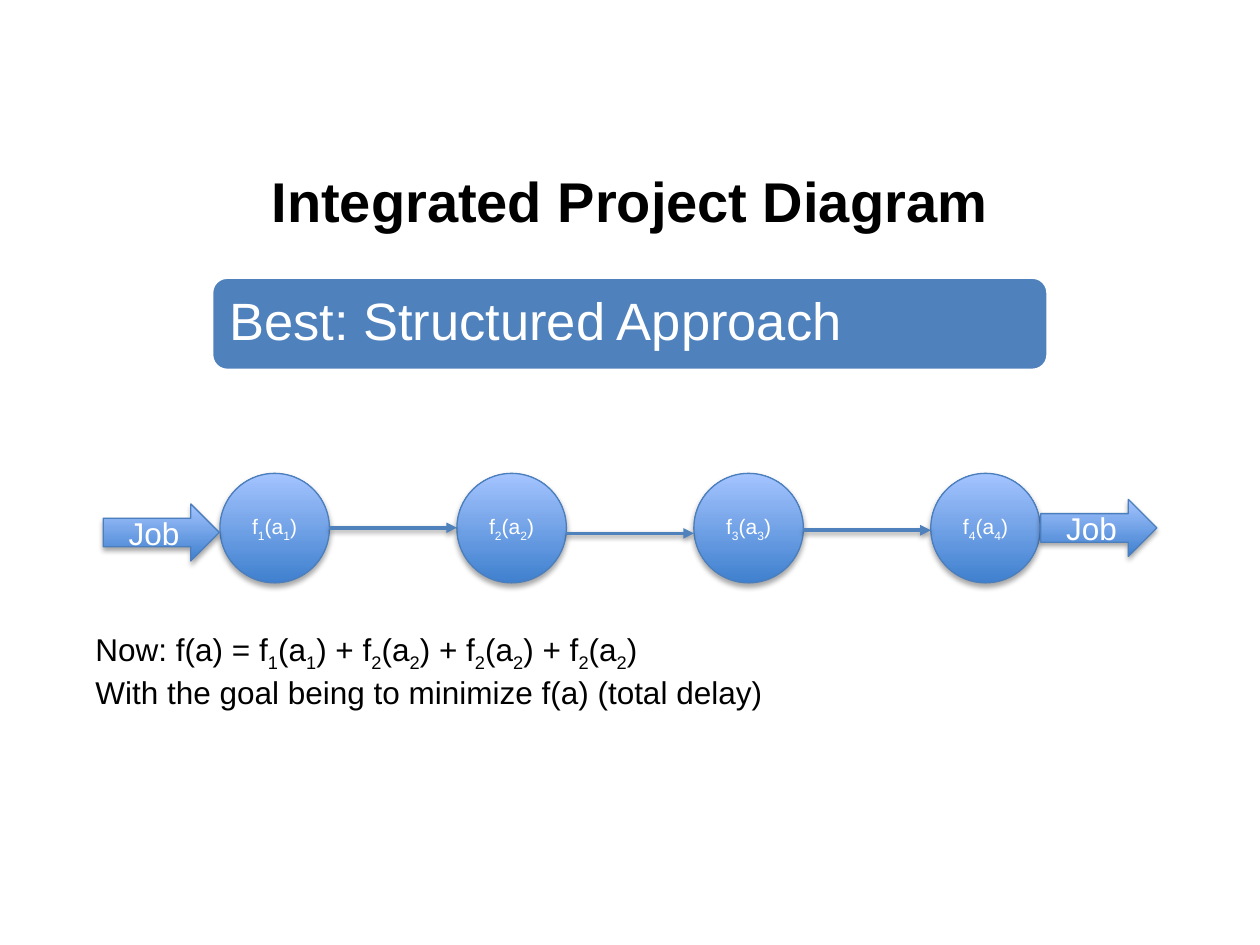
from lxml import etree
from pptx import Presentation
from pptx.dml.color import RGBColor
from pptx.enum.shapes import MSO_CONNECTOR, MSO_SHAPE
from pptx.enum.text import MSO_ANCHOR, PP_ALIGN
from pptx.oxml.ns import qn
from pptx.util import Pt

CIRCLE = MSO_SHAPE.OVAL
ARROW = MSO_SHAPE.RIGHT_ARROW
ROUNDED = MSO_SHAPE.ROUNDED_RECTANGLE
STRAIGHT = MSO_CONNECTOR.STRAIGHT
LEFT, CENTER = PP_ALIGN.LEFT, PP_ALIGN.CENTER
TOP, MIDDLE = MSO_ANCHOR.TOP, MSO_ANCHOR.MIDDLE

COLORS = {
    "black": "000000",
    "white": "FFFFFF",
    "accent": "4F81BD",
    "outline": "4B7EBC",
    "deep": "3F80CE",
    "light": "A4C4FF",
}
FONT = "Arial"


def rgb(name):
    return RGBColor.from_string(COLORS[name])


def add_run(p, text, subscript=False):
    if text:
        r = p.add_run()
        r.text = text
        if subscript:
            r.font._element.set("baseline", "-25000")


def write_text(sp, text, size=18, color="black", bold=False, align=LEFT,
               anchor=TOP, inset=None, spacing=None):
    tf = sp.text_frame
    tf.word_wrap = True
    tf.vertical_anchor = anchor
    if inset is not None:
        tf.margin_left = tf.margin_right = Pt(inset)
        tf.margin_top = tf.margin_bottom = Pt(inset)
    for i, line in enumerate(text.split("\n")):
        p = tf.add_paragraph() if i else tf.paragraphs[0]
        p.alignment = align
        if spacing:
            p.line_spacing = spacing
        first, *rest = line.split("_")
        add_run(p, first)
        for part in rest:
            add_run(p, part[0], subscript=True)
            add_run(p, part[1:])
        for r in p.runs:
            r.font.name = FONT
            r.font.size = Pt(size)
            r.font.bold = bold
            r.font.color.rgb = rgb(color)


class SlideBuilder:
    def __init__(self, slide):
        self.s = slide

    def text(self, box, text, **fmt):
        sp = self.s.shapes.add_textbox(*map(Pt, box))
        write_text(sp, text, **fmt)

    def shape(self, kind, box, line, width):
        sp = self.s.shapes.add_shape(kind, *map(Pt, box))
        sp.shadow.inherit = False
        sp.line.color.rgb = rgb(line)
        sp.line.width = Pt(width)
        return sp

    def banner(self, box):
        sp = self.shape(ROUNDED, box, "white", 2)
        sp.fill.solid()
        sp.fill.fore_color.rgb = rgb("accent")

    def node(self, kind, box, text, size):
        sp = self.shape(kind, box, "outline", 0.75)
        sp.fill.gradient()
        sp.fill.gradient_angle = 90
        for stop, name in zip(sp.fill.gradient_stops, ("deep", "light")):
            stop.color.rgb = rgb(name)
        self.shadow(sp._element.spPr.find(qn("a:effectLst")), 1.8, 35)
        write_text(sp, text, size=size, color="white", align=CENTER, anchor=MIDDLE)

    def connector(self, x1, x2, y):
        cxn = self.s.shapes.add_connector(STRAIGHT, Pt(x1), Pt(y), Pt(x2), Pt(y))
        cxn.line.color.rgb = rgb("accent")
        cxn.line.width = Pt(2)
        spPr = cxn._element.spPr
        etree.SubElement(spPr.find(qn("a:ln")), qn("a:tailEnd"), type="triangle")
        self.shadow(etree.SubElement(spPr, qn("a:effectLst")), 1.6, 38)

    def shadow(self, effects, distance, opacity):
        shd = etree.SubElement(
            effects, qn("a:outerShdw"), blurRad=str(Pt(3.1)), dist=str(Pt(distance)),
            dir="5400000", rotWithShape="0")
        clr = etree.SubElement(shd, qn("a:srgbClr"), val=COLORS["black"])
        etree.SubElement(clr, qn("a:alpha"), val=str(opacity * 1000))


def main():
    prs = Presentation()
    prs.slide_width, prs.slide_height = Pt(720), Pt(540)
    s = SlideBuilder(prs.slides.add_slide(prs.slide_layouts[6]))

    s.text((36, 82.8, 648, 63.4), "Integrated Project Diagram",
           size=32, bold=True, align=CENTER, anchor=MIDDLE)
    s.banner((120.9, 158.4, 478, 53.3))
    s.text((122.4, 159.8, 474.5, 50.4), "Best: Structured Approach",
           size=30, color="white", anchor=MIDDLE, inset=8.64, spacing=0.9)

    left, top, size, step = 125.7, 270.5, 62.6, 135.4
    for i in range(4):
        s.node(CIRCLE, (left + i * step, top, size, size), f"f_{i + 1}(a_{i + 1})", 12)
    for i, y in enumerate((301.6, 304.8, 303)):
        x = left + i * step
        s.connector(x + size, x + step, y)
    for x, y in ((59, 288), (594.7, 285.4)):
        s.node(ARROW, (x, y, 66.4, 32.6), "Job", 18)

    s.text((47.5, 356.4, 434.2, 72.7),
           "Now: f(a) = f_1(a_1) + f_2(a_2) + f_2(a_2) + f_2(a_2)\n"
           "With the goal being to minimize f(a) (total delay)")
    prs.save("out.pptx")


if __name__ == "__main__":
    main()
